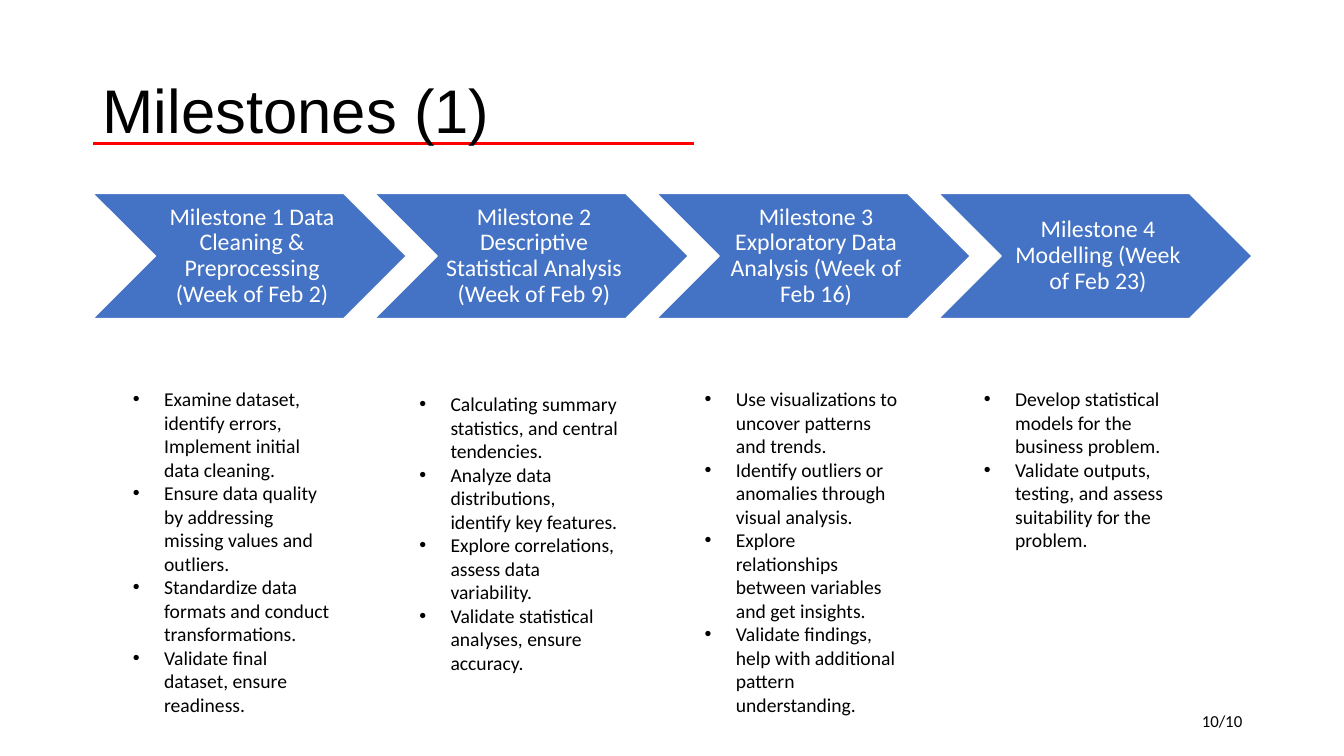
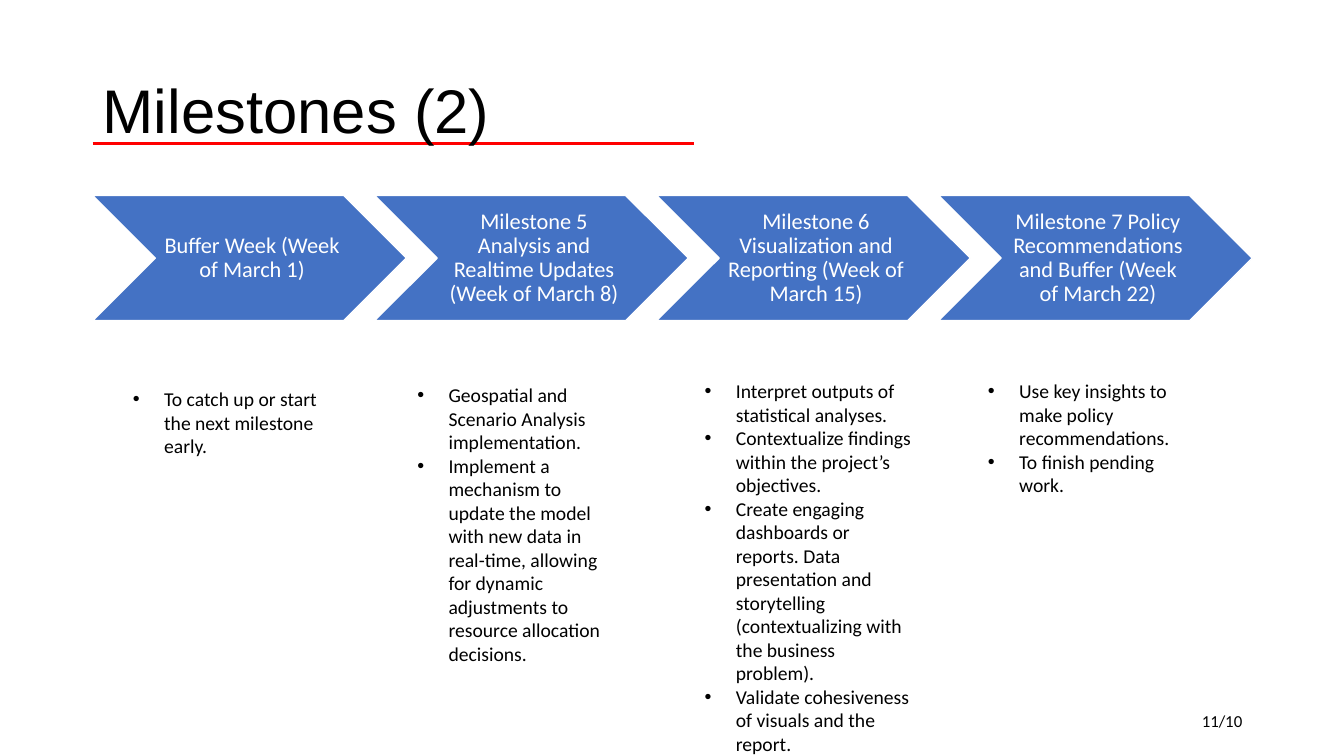
from pptx import Presentation
from pptx.dml.color import RGBColor
from pptx.enum.shapes import MSO_CONNECTOR, MSO_SHAPE
from pptx.enum.text import MSO_ANCHOR, PP_ALIGN
from pptx.oxml.ns import qn
from pptx.util import Inches, Pt
from lxml.etree import SubElement

BLACK = RGBColor(0x00, 0x00, 0x00)
WHITE = RGBColor(0xFF, 0xFF, 0xFF)
RED = RGBColor(0xFF, 0x00, 0x00)
BLUE = RGBColor(0x44, 0x72, 0xC4)

LEFT, SPAN = 0.92, 11.5
STEP_W, STEP_H = 3.11, 1.24

SLIDES = [
    {
        "title": "Milestones (1)", "page": "10/10", "top": 1.92, "size": 17,
        "steps": [
            ("Milestone 1 Data Cleaning & Preprocessing (Week of Feb 2)",
             (1.22, 3.79, 2.16, 3.7),
             ["Examine dataset, identify errors, Implement initial data cleaning.",
              "Ensure data quality by addressing missing values and outliers.",
              "Standardize data formats and conduct transformations.",
              "Validate final dataset, ensure readiness."]),
            ("Milestone 2 Descriptive Statistical Analysis (Week of Feb 9)",
             (4.06, 3.84, 2.19, 3.47),
             ["Calculating summary statistics, and central tendencies.",
              "Analyze data distributions, identify key features.",
              "Explore correlations, assess data variability.",
              "Validate statistical analyses, ensure accuracy."]),
            ("Milestone 3 Exploratory Data Analysis (Week of Feb 16)",
             (6.89, 3.79, 2.12, 3.7),
             ["Use visualizations to uncover patterns and trends.",
              "Identify outliers or anomalies through visual analysis.",
              "Explore relationships between variables and get insights.",
              "Validate findings, help with additional pattern understanding."]),
            ("Milestone 4 Modelling (Week of Feb 23)",
             (9.66, 3.79, 2.19, 2.05),
             ["Develop statistical models for the business problem.",
              "Validate outputs, testing, and assess suitability for the problem."]),
        ],
    },
    {
        "title": "Milestones (2)", "page": "11/10", "top": 1.94, "size": 16,
        "steps": [
            ("Buffer Week (Week of March 1)",
             (1.22, 3.79, 2.16, 1.11),
             ["To catch up or start the next milestone early."]),
            ("Milestone 5 Analysis and Realtime Updates (Week of March 8)",
             (4.04, 3.75, 2.19, 3.47),
             ["Geospatial and Scenario Analysis implementation.",
              "Implement a mechanism to update the model with new data in real-time, "
              "allowing for dynamic adjustments to resource allocation decisions."]),
            ("Milestone 6 Visualization and Reporting (Week of March 15)",
             (6.89, 3.71, 2.28, 3.79),
             ["Interpret outputs of statistical analyses.",
              "Contextualize findings within the project’s objectives.",
              "Create engaging dashboards or reports. Data presentation and "
              "storytelling (contextualizing with the business problem).",
              "Validate cohesiveness of visuals and the report."]),
            ("Milestone 7 Policy Recommendations and Buffer (Week of March 22)",
             (9.7, 3.71, 2.19, 1.82),
             ["Use key insights to make policy recommendations.",
              "To finish pending work."]),
        ],
    },
]


def style(para, size, color=BLACK, name="Calibri", align=PP_ALIGN.LEFT):
    para.alignment = align
    para.font.size = Pt(size)
    para.font.name = name
    para.font.color.rgb = color


def add_box(slide, area, anchor=MSO_ANCHOR.TOP):
    frame = slide.shapes.add_textbox(*map(Inches, area)).text_frame
    frame.word_wrap = True
    frame.vertical_anchor = anchor
    return frame


def add_frame(slide, title, page):
    rule = slide.shapes.add_connector(
        MSO_CONNECTOR.STRAIGHT,
        Inches(LEFT), Inches(1.42), Inches(6.88), Inches(1.42))
    rule.line.color.rgb = RED
    rule.line.width = Pt(2.25)
    SubElement(rule.element.spPr, qn("a:effectLst"))

    head = add_box(slide, (LEFT, 0.4, SPAN, 1.45), MSO_ANCHOR.MIDDLE).paragraphs[0]
    head.text = title
    head.line_spacing = 0.9
    style(head, 44, name="Arial")

    foot = add_box(slide, (9.42, 6.95, 3, 0.4), MSO_ANCHOR.MIDDLE).paragraphs[0]
    foot.text = page
    style(foot, 12, align=PP_ALIGN.RIGHT)


def add_step(slide, left, top, label, size):
    step = slide.shapes.add_shape(
        MSO_SHAPE.CHEVRON, Inches(left), Inches(top), Inches(STEP_W), Inches(STEP_H))
    step.shadow.inherit = False
    step.fill.solid()
    step.fill.fore_color.rgb = BLUE
    step.line.color.rgb = WHITE
    step.line.width = Pt(1)
    frame = step.text_frame
    frame.word_wrap = True
    frame.vertical_anchor = MSO_ANCHOR.MIDDLE
    frame.margin_left = Inches(0.07)
    frame.margin_right = frame.margin_top = frame.margin_bottom = Inches(0.02)
    para = frame.paragraphs[0]
    para.text = label
    para.line_spacing = 0.9
    style(para, size, WHITE, align=PP_ALIGN.CENTER)


def add_list(slide, area, items):
    frame = add_box(slide, area)
    for i, item in enumerate(items):
        para = frame.add_paragraph() if i else frame.paragraphs[0]
        para.text = item
        props = para._p.get_or_add_pPr()
        props.set("marL", str(Inches(0.31)))
        props.set("indent", str(-Inches(0.31)))
        SubElement(props, qn("a:buFont"), typeface="Arial")
        SubElement(props, qn("a:buChar"), char="•")
        style(para, 14)


def main():
    deck = Presentation()
    deck.slide_width = Inches(13.33)
    deck.slide_height = Inches(7.5)
    for data in SLIDES:
        slide = deck.slides.add_slide(deck.slide_layouts[6])
        add_frame(slide, data["title"], data["page"])
        steps = data["steps"]
        pitch = (SPAN - STEP_W) / (len(steps) - 1)
        for i, (label, area, items) in enumerate(steps):
            add_step(slide, LEFT + i * pitch, data["top"], label, data["size"])
            add_list(slide, area, items)
    deck.save("out.pptx")


if __name__ == "__main__":
    main()
